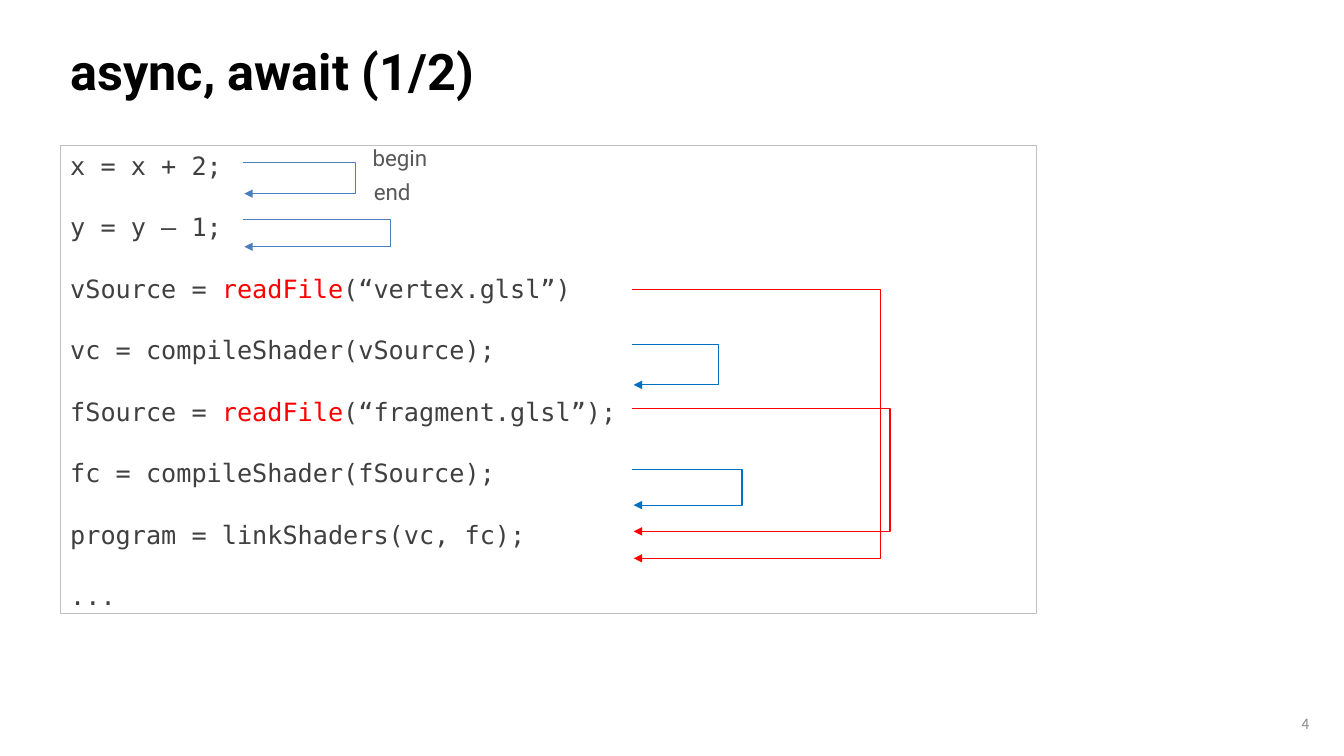
from lxml import etree
from pptx import Presentation
from pptx.dml.color import RGBColor
from pptx.enum.shapes import MSO_CONNECTOR, MSO_SHAPE
from pptx.enum.text import MSO_ANCHOR, PP_ALIGN
from pptx.oxml.ns import qn
from pptx.util import Cm, Pt

ELBOW = MSO_CONNECTOR.ELBOW
RECT = MSO_SHAPE.RECTANGLE
TOP, MIDDLE = MSO_ANCHOR.TOP, MSO_ANCHOR.MIDDLE
LEFT, RIGHT = PP_ALIGN.LEFT, PP_ALIGN.RIGHT

BLACK = RGBColor(0x00, 0x00, 0x00)
DARK = RGBColor(0x40, 0x40, 0x40)
GRAY = RGBColor(0x59, 0x59, 0x59)
PALE = RGBColor(0x8C, 0x8C, 0x8C)
FRAME = RGBColor(0xBF, 0xBF, 0xBF)
RED = RGBColor(0xFF, 0x00, 0x00)
STEEL = RGBColor(0x4B, 0x7E, 0xBC)
BLUE = RGBColor(0x00, 0x70, 0xC0)

SANS, MONO, KOREAN = "Roboto", "DejaVu Sans Mono", "Noto Sans CJK KR"
ASYNC = "readFile"
CODE = [
    "x = x + 2;",
    "y = y – 1;",
    "vSource = readFile(“vertex.glsl”)",
    "vc = compileShader(vSource);",
    "fSource = readFile(“fragment.glsl”);",
    "fc = compileShader(fSource);",
    "program = linkShaders(vc, fc);",
    "...",
]

# Arrows: left end, top, bottom, corner (cm), colour
NEAR, FAR = 6.12, 15.93
ARROWS = [
    (NEAR, 4.09, 4.88, 8.95, STEEL),
    (NEAR, 5.54, 6.22, 9.85, STEEL),
    (FAR, 7.29, 14.07, 22.2, RED),
    (FAR, 8.69, 9.7, 18.12, BLUE),
    (FAR, 10.29, 13.39, 22.43, RED),
    (FAR, 11.84, 12.73, 18.7, BLUE),
]
STEP = 0.04  # width between the two ends of an arrow


def set_font(para, name, size, color, bold=False):
    font = para.font
    font.name, font.size, font.bold = name, Pt(size), bold
    font.color.rgb = color


def add_title(slide, text):
    title = slide.shapes.title
    title.left, title.top = Cm(1.52), Cm(0.76)
    title.width, title.height = Cm(30.68), Cm(2.01)
    title.text_frame.text = text
    title.text_frame.vertical_anchor = MIDDLE
    para = title.text_frame.paragraphs[0]
    para.alignment = LEFT
    set_font(para, SANS, 36, BLACK, bold=True)


def add_label(slide, text, box, name, size, color, align=LEFT, anchor=TOP):
    label = slide.shapes.add_textbox(*map(Cm, box))
    frame = label.text_frame
    frame.text = text
    frame.vertical_anchor = anchor
    para = frame.paragraphs[0]
    para.alignment = align
    set_font(para, name, size, color)


def add_code(slide, lines):
    box = slide.shapes.add_shape(RECT, Cm(1.52), Cm(3.66), Cm(24.61), Cm(11.79))
    box.shadow.inherit = False
    box.fill.background()
    box.line.color.rgb = FRAME
    box.line.width = Pt(0.75)
    frame = box.text_frame
    frame.word_wrap = True
    frame.vertical_anchor = TOP
    for i, line in enumerate(lines):
        para = frame.add_paragraph() if i else frame.paragraphs[0]
        para.alignment = LEFT
        para.space_before = Pt(22.3 if i else 0)
        set_font(para, MONO, 18, DARK)
        # The asynchronous call stands out in red
        for part in filter(None, line.partition(ASYNC)):
            run = para.add_run()
            run.text = part
            if part == ASYNC:
                run.font.color.rgb = RED


def add_arrow(slide, left, top, bottom, corner, color):
    arrow = slide.shapes.add_connector(
        ELBOW, Cm(left), Cm(top), Cm(left + STEP), Cm(bottom))
    arrow.line.color.rgb = color
    arrow.line.width = Pt(0.75)
    props = arrow._element.spPr
    # Push the bend out to the corner
    bend = round((corner - left) / STEP * 100000)
    guides = props.find(qn("a:prstGeom")).get_or_add_avLst()
    etree.SubElement(guides, qn("a:gd"), name="adj1", fmla=f"val {bend}")
    # Arrowhead, no shadow
    etree.SubElement(props.find(qn("a:ln")), qn("a:tailEnd"), type="triangle")
    etree.SubElement(props, qn("a:effectLst"))


def main():
    deck = Presentation()
    deck.slide_width, deck.slide_height = Cm(33.87), Cm(19.05)
    slide = deck.slides.add_slide(deck.slide_layouts[5])

    # Title and page number
    add_title(slide, "async, await (1/2)")
    add_label(slide, "4", (32.21, 17.73, 1.04, 1.02), KOREAN, 10, PALE,
              RIGHT, MIDDLE)

    # Code with the span of each call
    add_code(slide, CODE)
    for arrow in ARROWS:
        add_arrow(slide, *arrow)
    add_label(slide, "begin", (9.14, 3.51, 1.88, 0.94), SANS, 16, GRAY)
    add_label(slide, "end", (9.17, 4.37, 1.45, 0.94), SANS, 16, GRAY)

    deck.save("out.pptx")


if __name__ == "__main__":
    main()
